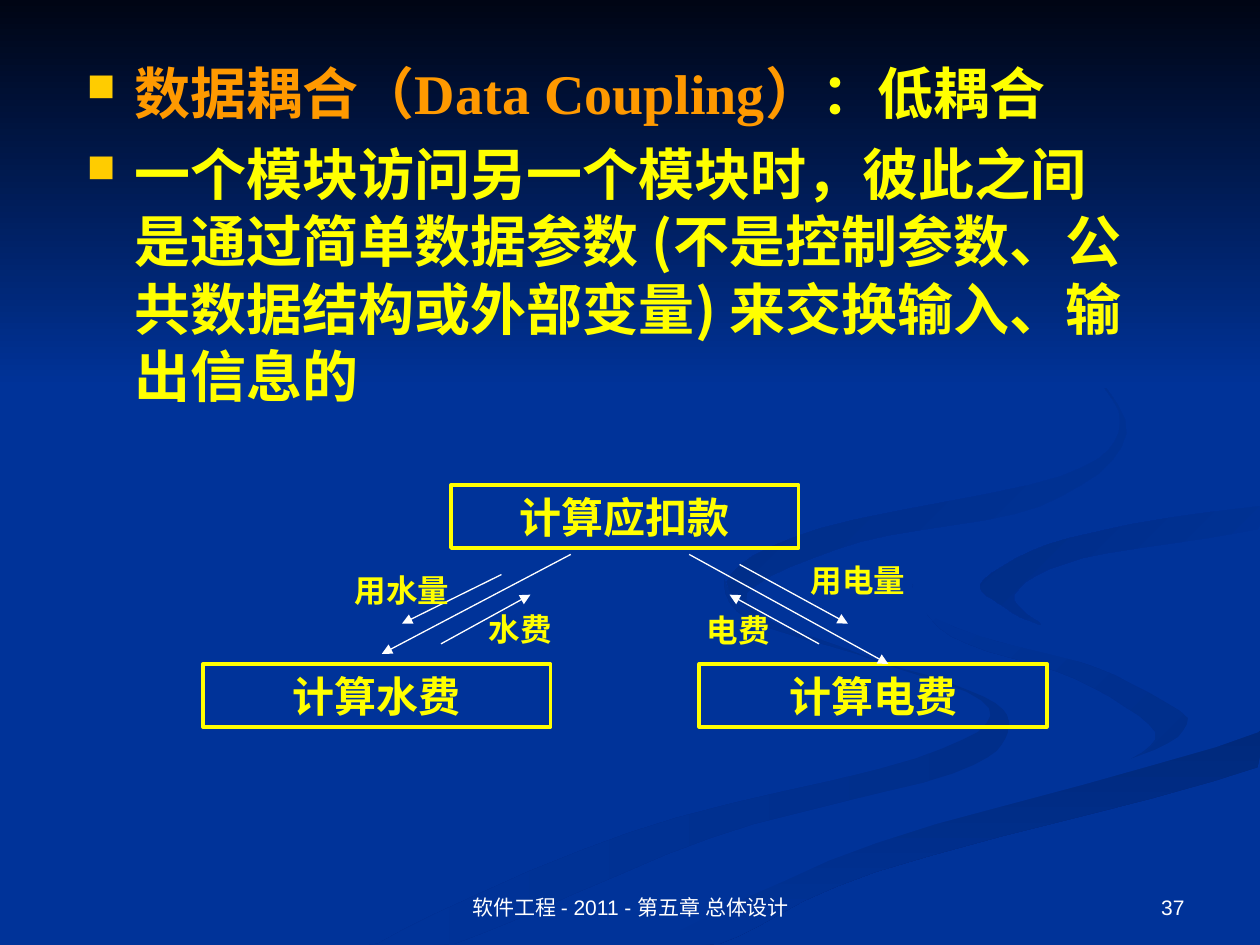
import lxml.etree
import pptx
import pptx.dml.color
import pptx.enum.shapes
import pptx.enum.text
import pptx.oxml.ns
import pptx.util

THEME = {
    "blue": "003399", "night": "000514", "wave": "002E8A", "ribbon": "00297C",
    "hook": "002C85", "curl": "002B81", "yellow": "FFFF00", "orange": "FF9900",
    "gold": "FFCC00", "white": "FFFFFF",
    "serif": "Times New Roman", "sans": "Arial", "cjk": "Noto Sans CJK SC",
    "body": 32, "module": 24, "label": 18, "footer": 12,
    "outline": 2, "arrow": 0.75, "body_line": 38.5, "body_gap": 8,
}
COLUMNS, ROWS = 1000, 750
ALIGN = pptx.enum.text.PP_ALIGN
ANCHOR = pptx.enum.text.MSO_ANCHOR
SHAPE = pptx.enum.shapes.MSO_SHAPE
qn = pptx.oxml.ns.qn


def color(name):
    return pptx.dml.color.RGBColor.from_string(THEME[name])


def write(para, text, size, ink="yellow", font="serif", bold=True, align=ALIGN.CENTER):
    para.alignment = align
    span = para.add_run()
    span.text = text
    span.font.size = pptx.util.Pt(THEME[size])
    span.font.bold = bold
    span.font.name = THEME[font]
    span.font.color.rgb = color(ink)
    east_asian = lxml.etree.SubElement(span.font._element, qn("a:ea"))
    east_asian.set("typeface", THEME["cjk"])


deck = pptx.Presentation()
deck.slide_width = pptx.util.Inches(10)
deck.slide_height = pptx.util.Inches(7.5)
cell = deck.slide_width // COLUMNS
page = deck.slides.add_slide(deck.slide_layouts[6])
page.background.fill.solid()
page.background.fill.fore_color.rgb = color("blue")

swirls = [
    ("wave", "blue", 180, [
        (781, 553), (682, 519), (594, 485), (575, 459), (593, 491), (697, 525), (785, 562),
        (727, 602), (499, 661), (300, 749), (361, 749), (564, 665), (756, 614), (800, 581)]),
    ("wave", "blue", 225, [
        (943, 570), (870, 530), (758, 498), (724, 464), (755, 505), (854, 539), (917, 581),
        (894, 605), (932, 589)]),
    ("ribbon", "blue", 90, [
        (503, 749), (571, 749), (695, 692), (998, 609), (998, 581), (764, 647), (630, 693)]),
    ("blue", "blue", 0, [
        (725, 464), (759, 498), (905, 540), (942, 575), (881, 608), (663, 668), (477, 749),
        (519, 747), (696, 669), (999, 581), (999, 538), (848, 503), (781, 463), (835, 430),
        (999, 402), (999, 387), (808, 417)]),
    ("blue", "hook", 225, [
        (781, 460), (791, 478), (826, 496), (805, 472), (859, 443), (998, 420), (998, 402),
        (849, 427)]),
    ("blue", "curl", 225, [
        (683, 430), (825, 402), (894, 344), (843, 275), (762, 233), (846, 279), (889, 335),
        (842, 378), (649, 420), (577, 462), (622, 500), (593, 470)]),
]
STEPS = 6
for first, last, angle, knots in swirls:
    curve = []
    for index, after in enumerate(knots):
        quad = (knots[index - 3], knots[index - 2], knots[index - 1], after)
        for t in (step / STEPS for step in range(STEPS)):
            x, y = (b + t / 2 * (c - a + t * (2 * a - 5 * b + 4 * c - d + t * (3 * b - a - 3 * c + d)))
                    for a, b, c, d in zip(*quad))
            curve.append((min(x, COLUMNS), min(y, ROWS)))
    builder = page.shapes.build_freeform(*curve[0], scale=cell)
    builder.add_line_segments(curve[1:], close=True)
    swirl = builder.convert_to_shape()
    swirl.fill.gradient()
    swirl.fill.gradient_angle = (360 - angle) % 360
    for stop, name in zip(swirl.fill.gradient_stops, (first, last)):
        stop.color.rgb = color(name)
    swirl.shadow.inherit = False
    swirl.line.fill.background()

sky = page.shapes.add_shape(SHAPE.RECTANGLE, 0, 0, deck.slide_width, cell * 308)
sky.fill.gradient()
sky.fill.gradient_angle = 270
for stop, name in zip(sky.fill.gradient_stops, ("night", "blue")):
    stop.color.rgb = color(name)
sky.shadow.inherit = False
sky.line.fill.background()

box = page.shapes.add_textbox(*(cell * n for n in (59, 36, 850, 308)))
box.text_frame.word_wrap = True
box.text_frame.margin_top = cell * 10
bullets = [
    [("数据耦合（Data Coupling）", "orange", "serif"), ("：低耦合", "yellow", "serif")],
    [("一个模块访问另一个模块时，彼此之间是通过简单数据参数 (不是控制参数、"
      "公共数据结构或外部变量) 来交换输入、输出信息的", "yellow", "cjk")],
]
for index, parts in enumerate(bullets):
    para = box.text_frame.add_paragraph() if index else box.text_frame.paragraphs[0]
    para.line_spacing = pptx.util.Pt(THEME["body_line"])
    para.space_before = pptx.util.Pt(THEME["body_gap"] if index else 0)
    layout = para._p.get_or_add_pPr()
    layout.set("marL", str(cell * 38))
    layout.set("indent", str(-cell * 38))
    tint = lxml.etree.SubElement(layout, qn("a:buClr"))
    lxml.etree.SubElement(tint, qn("a:srgbClr")).set("val", THEME["gold"])
    lxml.etree.SubElement(layout, qn("a:buSzPct")).set("val", "70000")
    lxml.etree.SubElement(layout, qn("a:buChar")).set("char", "■")
    for text, ink, font in parts:
        write(para, text, "body", ink=ink, font=font, align=ALIGN.LEFT)

for text, left, top in [("计算应扣款", 358, 385), ("计算水费", 161, 527), ("计算电费", 555, 527)]:
    module = page.shapes.add_shape(SHAPE.RECTANGLE, *(cell * n for n in (left, top, 276, 50)))
    module.shadow.inherit = False
    module.fill.background()
    module.line.color.rgb = color("yellow")
    module.line.width = pptx.util.Pt(THEME["outline"])
    module.text_frame.margin_top = module.text_frame.margin_bottom = 0
    module.text_frame.vertical_anchor = ANCHOR.MIDDLE
    write(module.text_frame.paragraphs[0], text, "module")

arrows = [
    (453, 440, 303, 519), (547, 440, 705, 527), (398, 456, 319, 495),
    (587, 448, 673, 495), (650, 511, 579, 472), (350, 511, 421, 472),
]
for ends in arrows:
    arrow = page.shapes.add_connector(pptx.enum.shapes.MSO_CONNECTOR.STRAIGHT,
                                      *(cell * n for n in ends))
    arrow.line.color.rgb = color("white")
    arrow.line.width = pptx.util.Pt(THEME["arrow"])
    outline = arrow._element.spPr
    lxml.etree.SubElement(outline.find(qn("a:ln")), qn("a:tailEnd")).set("type", "triangle")
    lxml.etree.SubElement(outline, qn("a:effectLst"))

for text, left, top in [("用水量", 264, 448), ("水费", 358, 479),
                        ("电费", 531, 480), ("用电量", 626, 440)]:
    box = page.shapes.add_textbox(*(cell * n for n in (left, top, 110, 40)))
    box.text_frame.word_wrap = True
    box.text_frame.vertical_anchor = ANCHOR.MIDDLE
    write(box.text_frame.paragraphs[0], text, "label")

for text, left, width, align in [("软件工程 - 2011 - 第五章 总体设计", 342, 317, ALIGN.CENTER),
                                 ("37", 717, 233, ALIGN.RIGHT)]:
    box = page.shapes.add_textbox(*(cell * n for n in (left, 683, width, 52)))
    box.text_frame.word_wrap = True
    box.text_frame.vertical_anchor = ANCHOR.BOTTOM
    write(box.text_frame.paragraphs[0], text, "footer", ink="white", font="sans",
          bold=False, align=align)

deck.save("out.pptx")
